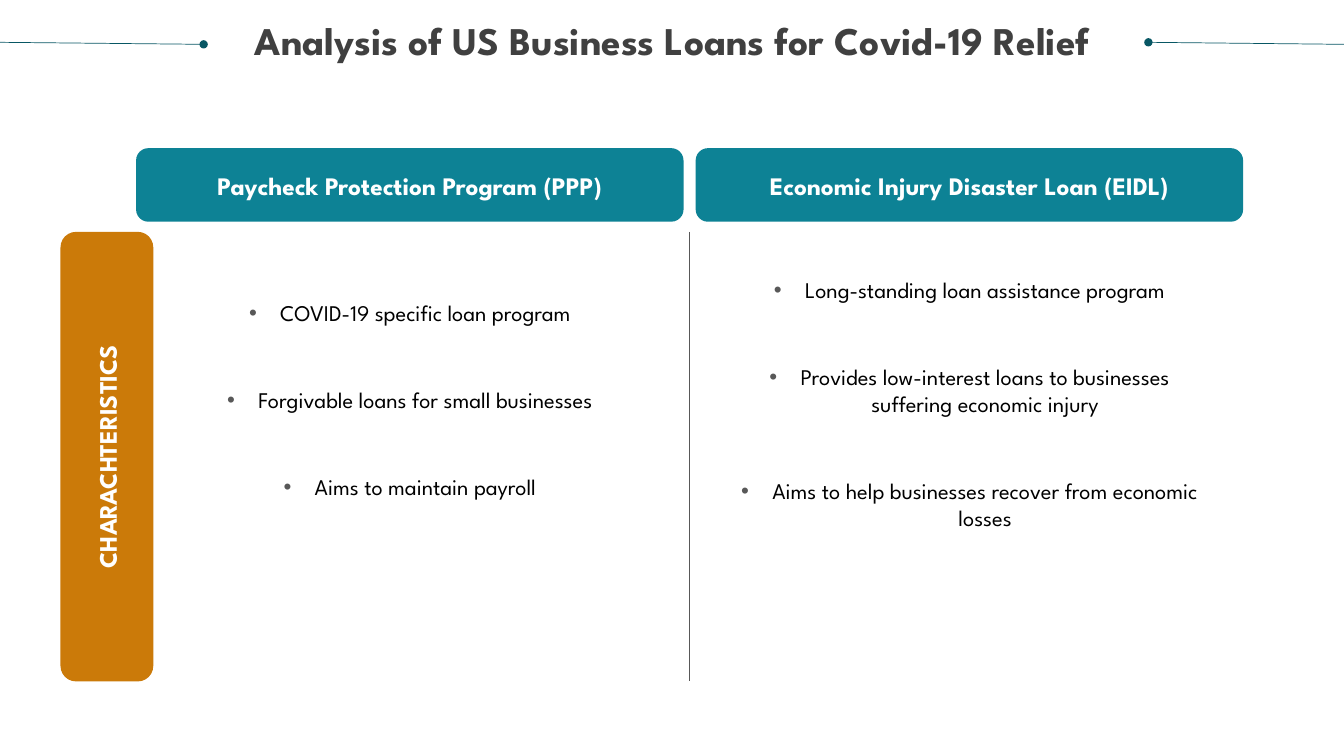
from lxml.etree import SubElement
from pptx import Presentation
from pptx.dml.color import RGBColor
from pptx.enum.shapes import MSO_CONNECTOR, MSO_SHAPE
from pptx.enum.text import MSO_ANCHOR, PP_ALIGN
from pptx.oxml.ns import qn
from pptx.util import Inches, Pt

THEME = {
    "font": "League Spartan",
    "title": "404040",
    "header": "0D8295",
    "side": "CB7A09",
    "accent": "085764",
    "rule": "585858",
    "light": "FFFFFF",
    "body": "000000",
    "title_size": 28,
    "label_size": 18,
    "body_size": 16,
}


def add_text(tf, text, size, color, bold=False, bullet=False, first=True, before=0, spacing=None):
    p = tf.paragraphs[0] if first else tf.add_paragraph()
    p.alignment = PP_ALIGN.CENTER
    if spacing:
        p.line_spacing = spacing
    if not first:
        p.space_before = Pt(before)
    if bullet:
        pPr = p._p.get_or_add_pPr()
        pPr.set("marL", str(Inches(0.31)))
        pPr.set("indent", str(Inches(-0.31)))
        clr = SubElement(pPr, qn("a:buClr"))
        SubElement(clr, qn("a:srgbClr"), val=THEME["rule"])
        SubElement(pPr, qn("a:buFont"), typeface="Arial")
        SubElement(pPr, qn("a:buChar"), char="•")
    r = p.add_run()
    r.text = text
    r.font.name = THEME["font"]
    r.font.size = Pt(size)
    r.font.bold = bold
    r.font.color.rgb = RGBColor.from_string(color)


prs = Presentation()
prs.slide_width = Inches(13.33)
prs.slide_height = Inches(7.5)
s = prs.slides.add_slide(prs.slide_layouts[6])

lines = [
    (11.39, 0.42, 13.33, 0.44, "accent", "headEnd"),
    (0, 0.42, 2.02, 0.44, "accent", "tailEnd"),
    (6.84, 2.3, 6.84, 6.76, "rule", None),
]
for x1, y1, x2, y2, color, end in lines:
    line = s.shapes.add_connector(
        MSO_CONNECTOR.STRAIGHT, Inches(x1), Inches(y1), Inches(x2), Inches(y2)
    )
    line.line.color.rgb = RGBColor.from_string(THEME[color])
    line.line.width = Pt(0.5)
    if end:
        SubElement(line.line._get_or_add_ln(), qn(f"a:{end}"), type="oval")
    SubElement(line._element.spPr, qn("a:effectLst"))

panels = [
    (1.35, 1.47, 5.43, 0.73, 0, "header", "Paycheck Protection Program (PPP)"),
    (6.9, 1.47, 5.43, 0.73, 0, "header", "Economic Injury Disaster Loan (EIDL)"),
    (-1.17, 4.07, 4.46, 0.92, 270, "side", "CHARACHTERISTICS"),
]
for x, y, w, h, rotation, color, label in panels:
    sp = s.shapes.add_shape(
        MSO_SHAPE.ROUNDED_RECTANGLE, Inches(x), Inches(y), Inches(w), Inches(h)
    )
    sp.rotation = rotation
    sp.shadow.inherit = False
    sp.fill.solid()
    sp.fill.fore_color.rgb = RGBColor.from_string(THEME[color])
    sp.line.fill.background()
    sp.text_frame.word_wrap = True
    sp.text_frame.vertical_anchor = MSO_ANCHOR.MIDDLE
    add_text(sp.text_frame, label, THEME["label_size"], THEME["light"], bold=True)

title = {"size": THEME["title_size"], "color": THEME["title"], "bold": True, "spacing": 0.9}
body = {"size": THEME["body_size"], "color": THEME["body"], "bullet": True, "before": 43}
boxes = [
    (0.25, 0.21, 12.83, 0.73, title, ["Analysis of US Business Loans for Covid-19 Relief"]),
    (1.79, 2.97, 4.55, 2.46, body, [
        "COVID-19 specific loan program",
        "Forgivable loans for small businesses",
        "Aims to maintain payroll",
    ]),
    (7.34, 2.74, 4.55, 3.23, body, [
        "Long-standing loan assistance program",
        "Provides low-interest loans to businesses suffering economic injury",
        "Aims to help businesses recover from economic losses",
    ]),
]
for x, y, w, h, style, texts in boxes:
    tf = s.shapes.add_textbox(Inches(x), Inches(y), Inches(w), Inches(h)).text_frame
    tf.word_wrap = True
    tf.margin_left = tf.margin_top = tf.margin_right = tf.margin_bottom = 0
    for i, text in enumerate(texts):
        add_text(tf, text, first=i == 0, **style)

prs.save("out.pptx")
